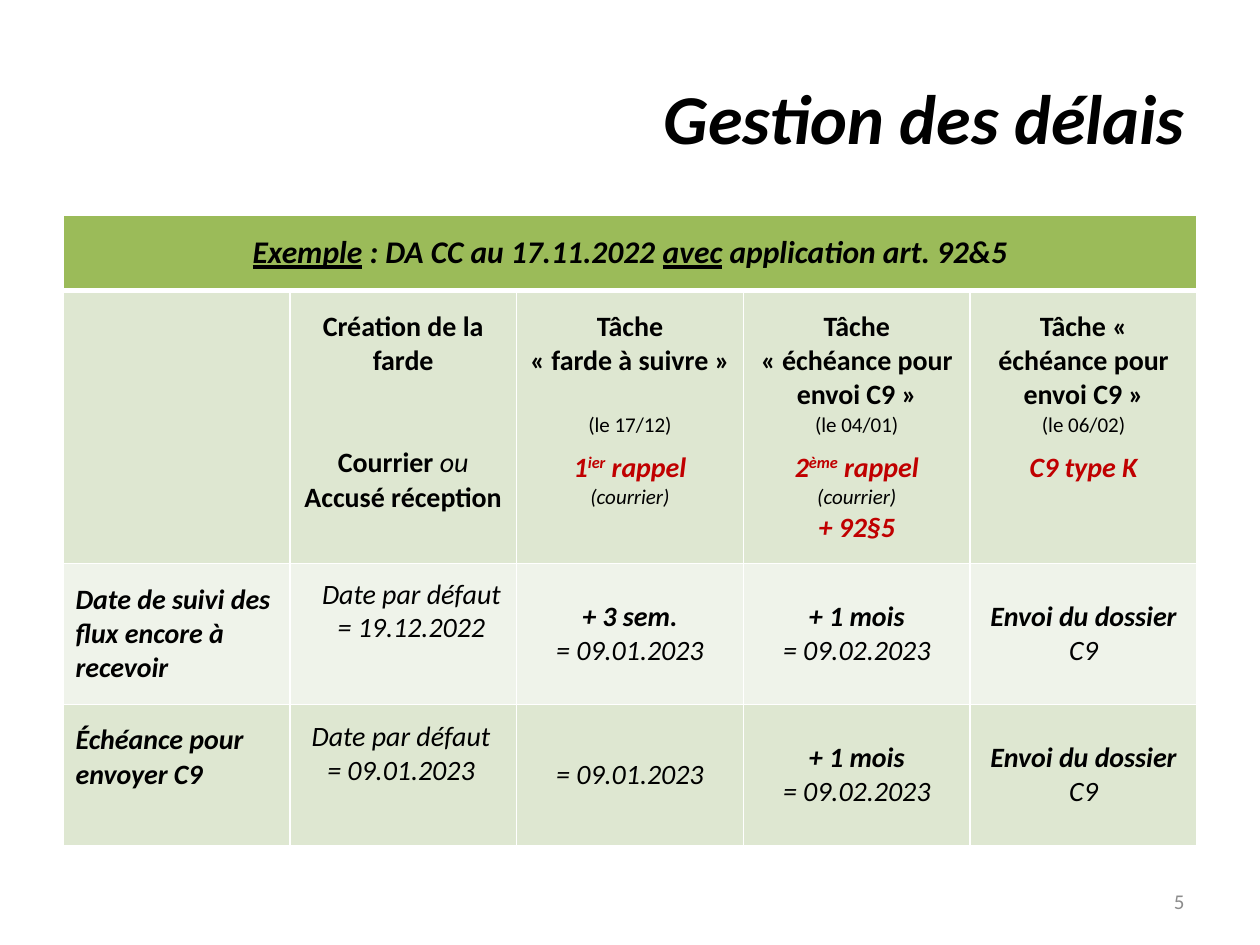
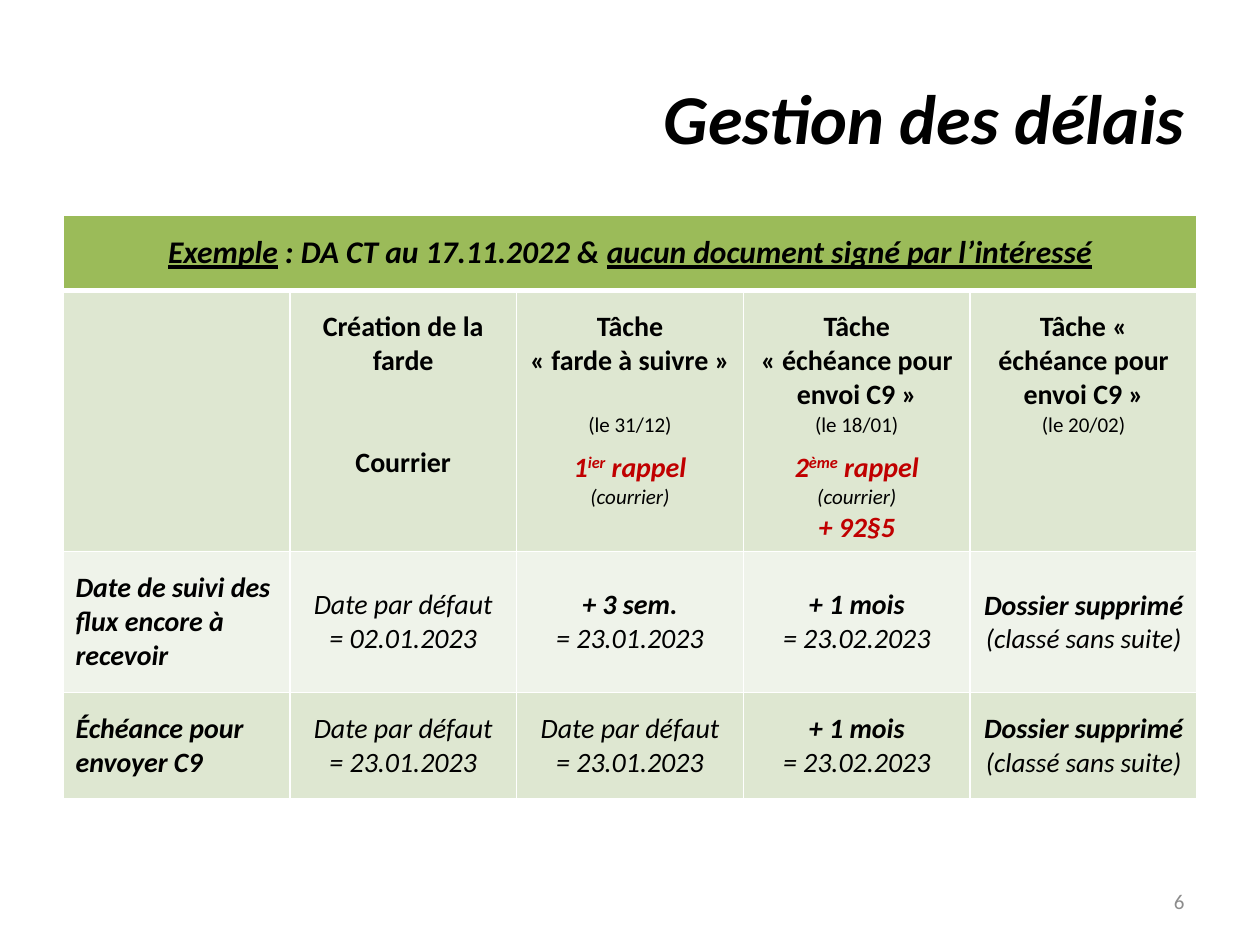
from collections import namedtuple

from lxml import etree
from pptx import Presentation
from pptx.dml.color import RGBColor
from pptx.enum.text import MSO_ANCHOR, PP_ALIGN
from pptx.oxml.ns import qn
from pptx.util import Cm, Pt

LEFT, CENTER, RIGHT = PP_ALIGN.LEFT, PP_ALIGN.CENTER, PP_ALIGN.RIGHT
TOP, MIDDLE = MSO_ANCHOR.TOP, MSO_ANCHOR.MIDDLE

FONT = "Calibri"
BLACK = RGBColor(0x00, 0x00, 0x00)
WHITE = RGBColor(0xFF, 0xFF, 0xFF)
GREY = RGBColor(0x8C, 0x8C, 0x8C)
RED = RGBColor(0xC0, 0x00, 0x00)
GREEN = RGBColor(0x9B, 0xBB, 0x59)
GREEN_BAND = RGBColor(0xDE, 0xE7, 0xD1)
GREEN_PALE = RGBColor(0xEF, 0xF3, 0xEA)

# All lengths in centimetres, gaps between paragraphs in points
Box = namedtuple("Box", "left top width height")
Style = namedtuple("Style", "size bold italic color underline raised",
                   defaults=(16, False, False, BLACK, False, False))
Line = namedtuple("Line", "spans gap", defaults=(0,))
Cell = namedtuple("Cell", "lines align anchor top_margin",
                  defaults=(CENTER, MIDDLE, 0.13))

PAGE = Box(0, 0, 25.4, 19.05)
TITLE_BOX = Box(1.27, 0.76, 22.86, 3.18)
NUMBER_BOX = Box(18.21, 17.65, 5.92, 1.02)
TABLE_BOX = Box(1.27, 4.33, 22.86, 12.71)
COLUMN_COUNT = 5
HEAD_MARGIN = 0.38
SMALL_GAP, LINE_GAP = 7.3, 19.5

TITLE = Style(40, bold=True, italic=True)
NUMBER = Style(12, color=GREY)
BANNER = Style(18, bold=True, italic=True)
BANNER_KEY = BANNER._replace(underline=True)
BOLD = Style(bold=True)
ITALIC = Style(italic=True)
STRONG = Style(bold=True, italic=True)
ALERT = STRONG._replace(color=RED)
ALERT_RAISED = ALERT._replace(raised=True)
SMALL = Style(12)
SMALL_ITALIC = Style(12, italic=True)
NOTE = Style(15.5, italic=True)


def line(text, style, gap=0):
    return Line([(text, style)], gap)


def write(frame, lines, align):
    """Fill a text frame with lines of styled spans."""
    for index, (spans, gap) in enumerate(lines):
        para = frame.add_paragraph() if index else frame.paragraphs[0]
        para.alignment = align
        if gap:
            para.space_before = Pt(gap)
        for text, style in spans:
            span = para.add_run()
            span.text = text
            font = span.font
            font.name, font.size = FONT, Pt(style.size)
            font.bold, font.italic = style.bold, style.italic
            font.underline = style.underline
            font.color.rgb = style.color
            if style.raised:
                span._r.get_or_add_rPr().set("baseline", "30000")


def add_text(page, box, lines, align=CENTER, anchor=TOP):
    shape = page.shapes.add_textbox(*(Cm(length) for length in box))
    frame = shape.text_frame
    frame.word_wrap = True
    frame.vertical_anchor = anchor
    write(frame, lines, align)


def set_borders(cell, bottom_width):
    properties = cell._tc.get_or_add_tcPr()
    widths = {"a:lnL": 1, "a:lnR": 1, "a:lnT": 1, "a:lnB": bottom_width}
    for tag, width in widths.items():
        border = etree.SubElement(properties, qn(tag), w=str(Pt(width)))
        fill = etree.SubElement(border, qn("a:solidFill"))
        etree.SubElement(fill, qn("a:srgbClr"), val=str(WHITE))


# Cell contents
def head(*lines):
    return Cell(lines, anchor=TOP, top_margin=HEAD_MARGIN)


def row_label(text):
    return Cell([line(text, STRONG)], LEFT, TOP, HEAD_MARGIN)


def centered(*lines):
    return Cell(lines)


def due(delay, date):
    return centered(line(delay, STRONG), line(f"= {date}", ITALIC))


def default_date(date):
    return [line("Date par défaut", ITALIC), line(f"= {date}", ITALIC)]


def reminder(rank, suffix):
    return [Line([(rank, ALERT), (suffix, ALERT_RAISED), (" rappel", ALERT)],
                 SMALL_GAP),
            line("(courrier)", SMALL_ITALIC)]


def head_row(first_mail, dates, last_action):
    follow_up, first_due, last_due = (f"(le {date})" for date in dates)
    return [
        None,
        head(line("Création de la farde", BOLD),
             Line(first_mail, 2 * LINE_GAP)),
        head(line("Tâche", BOLD), line("« farde à suivre »", BOLD),
             line(follow_up, SMALL, LINE_GAP), *reminder("1", "ier")),
        head(line("Tâche", BOLD), line("« échéance pour", BOLD),
             line("envoi C9 »", BOLD), line(first_due, SMALL),
             *reminder("2", "ème"), line("+ 92§5", ALERT)),
        head(line("Tâche « échéance pour envoi C9 »", BOLD),
             line(last_due, SMALL), *last_action),
    ]


# Regions of a page
def add_title(page, box):
    add_text(page, box, [line("Gestion des délais", TITLE)], RIGHT, MIDDLE)


def add_number(page, box, number):
    add_text(page, box, [line(str(number), NUMBER)], RIGHT, MIDDLE)


def add_deadlines(page, box, heights, banner, rows):
    """Draw the banner row and, below it, the rows of deadlines."""
    frame = page.shapes.add_table(
        len(heights), COLUMN_COUNT, Cm(box.left), Cm(box.top),
        Cm(box.width), Cm(sum(heights)))
    table = frame.table
    table.first_row = table.horz_banding = False
    for column in table.columns:
        column.width = Cm(box.width / COLUMN_COUNT)
    for row, height in zip(table.rows, heights):
        row.height = Cm(height)

    banner_row = [head(Line(banner))] + [None] * (COLUMN_COUNT - 1)
    fills = [GREEN, GREEN_BAND, GREEN_PALE, GREEN_BAND]
    for row_index, contents in enumerate([banner_row, *rows]):
        for column_index, content in enumerate(contents):
            cell = table.cell(row_index, column_index)
            set_borders(cell, 1 if row_index else 3)
            cell.fill.solid()
            cell.fill.fore_color.rgb = fills[row_index]
            if content:
                cell.vertical_anchor = content.anchor
                cell.margin_top = Cm(content.top_margin)
                write(cell.text_frame, content.lines, content.align)
    table.cell(0, 0).merge(table.cell(0, COLUMN_COUNT - 1))


def add_default_dates(page, box):
    """Place the default dates over the second column."""
    for left, top, date in [(4.83, 7.16, "19.12.2022"),
                            (4.62, 10.03, "09.01.2023")]:
        add_text(page, Box(box.left + left, box.top + top, 4.39, 1.63),
                 default_date(date))


def add_page(deck, number):
    page = deck.slides.add_slide(deck.slide_layouts[6])
    add_title(page, TITLE_BOX)
    add_number(page, NUMBER_BOX, number)
    return page


def add_article_page(deck):
    page = add_page(deck, 5)
    sent = centered(line("Envoi du dossier", STRONG), line("C9", ITALIC))
    one_month = due("+ 1 mois", "09.02.2023")
    first_mail = [("Courrier ", BOLD), ("ou", ITALIC),
                  (" Accusé réception", BOLD)]
    add_deadlines(
        page, TABLE_BOX, [1.53, 5.5, 2.84, 2.84],
        [("Exemple", BANNER_KEY), (" : DA CC au 17.11.2022 ", BANNER),
         ("avec", BANNER_KEY), (" application art. 92&5", BANNER)],
        [head_row(first_mail, ["17/12", "04/01", "06/02"],
                  [line("C9 type K", ALERT, SMALL_GAP)]),
         [row_label("Date de suivi des flux encore à recevoir"), None,
          due("+ 3 sem.", "09.01.2023"), one_month, sent],
         [row_label("Échéance pour envoyer C9"), None,
          centered(line("= 09.01.2023", ITALIC)), one_month, sent]])
    add_default_dates(page, TABLE_BOX)


def add_unsigned_page(deck):
    page = add_page(deck, 6)
    dropped = centered(line("Dossier supprimé", STRONG),
                       line("(classé sans suite)", NOTE))
    one_month = due("+ 1 mois", "23.02.2023")
    default_due = centered(*default_date("23.01.2023"))
    add_deadlines(
        page, TABLE_BOX, [1.53, 5.26, 2.84, 2.15],
        [("Exemple", BANNER_KEY), (" : DA CT au 17.11.2022 & ", BANNER),
         ("aucun document signé par l’intéressé", BANNER_KEY)],
        [head_row([("Courrier", BOLD)], ["31/12", "18/01", "20/02"], []),
         [row_label("Date de suivi des flux encore à recevoir"),
          centered(*default_date("02.01.2023")),
          due("+ 3 sem.", "23.01.2023"), one_month, dropped],
         [row_label("Échéance pour envoyer C9"), default_due, default_due,
          one_month, dropped]])


def main():
    deck = Presentation()
    deck.slide_width, deck.slide_height = Cm(PAGE.width), Cm(PAGE.height)
    add_article_page(deck)
    add_unsigned_page(deck)
    deck.save("out.pptx")


if __name__ == "__main__":
    main()
